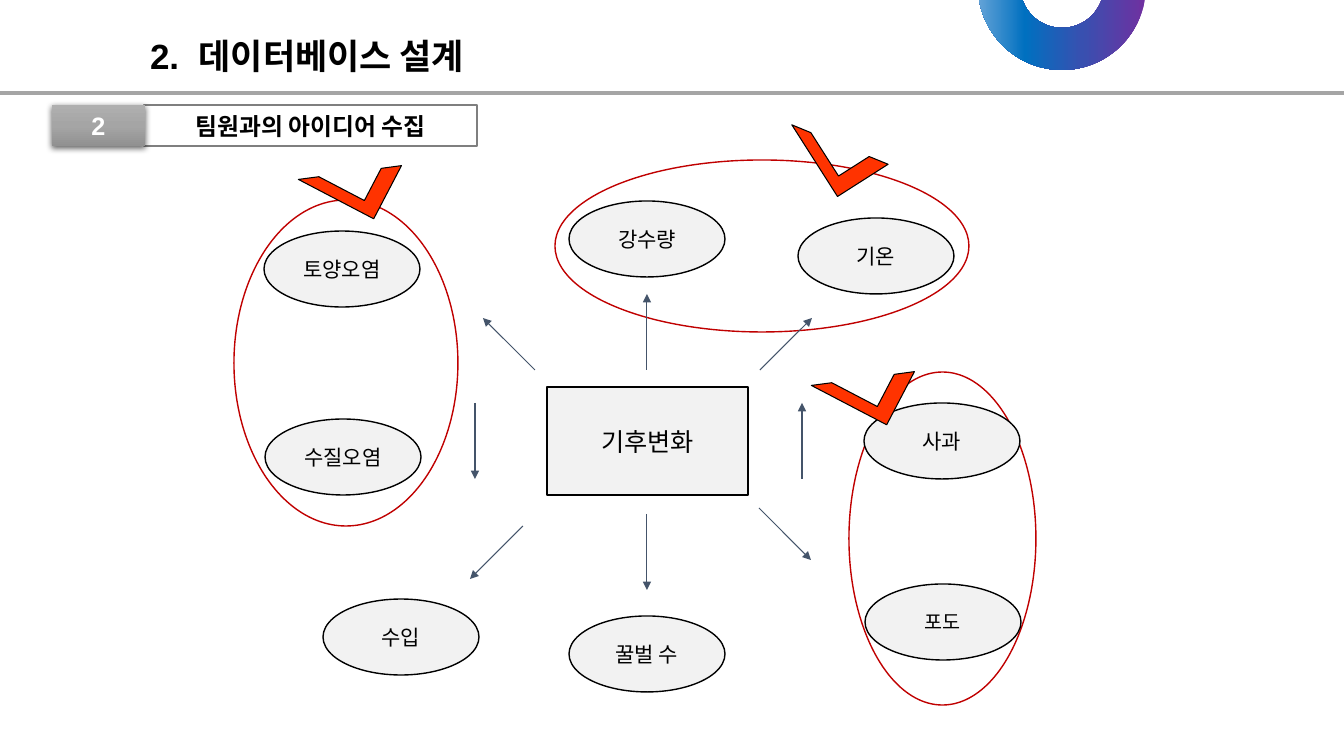
from lxml import etree
from pptx import Presentation
from pptx.dml.color import RGBColor
from pptx.enum.shapes import MSO_CONNECTOR, MSO_SHAPE as SHAPE
from pptx.enum.text import MSO_ANCHOR, PP_ALIGN
from pptx.oxml import parse_xml
from pptx.oxml.ns import nsdecls, qn
from pptx.util import Pt

PX = 914400 / 100.8
BLACK = RGBColor(0x00, 0x00, 0x00)
WHITE = RGBColor(0xFF, 0xFF, 0xFF)
PALE_GRAY = RGBColor(0xF2, 0xF2, 0xF2)
MID_GRAY = RGBColor(0xA5, 0xA5, 0xA5)
DARK_GRAY = RGBColor(0x7F, 0x7F, 0x7F)
SLATE = RGBColor(0x44, 0x54, 0x6A)
GROUP_RED = RGBColor(0xC0, 0x00, 0x00)
CHECK_RED = RGBColor(0xFF, 0x33, 0x00)
ARIAL, NOTO = "Arial", "Noto Sans CJK KR"

prs = Presentation()
prs.slide_width, prs.slide_height = round(1344 * PX), round(756 * PX)
slide = prs.slides.add_slide(prs.slide_layouts[5])


def add_figure(kind, box, fill=None, line=None, label="", **font_format):
    """Add a preset shape; without a fill or line colour that part is left empty."""
    figure = slide.shapes.add_shape(kind, *[round(n * PX) for n in box])
    figure.shadow.inherit = False
    if fill is None:
        figure.fill.background()
    else:
        figure.fill.solid()
        figure.fill.fore_color.rgb = fill
    if line is None:
        figure.line.fill.background()
    else:
        figure.line.color.rgb = line
        figure.line.width = Pt(1)
    if label:
        figure.text_frame.vertical_anchor = MSO_ANCHOR.MIDDLE
        paragraph = figure.text_frame.paragraphs[0]
        paragraph.alignment = PP_ALIGN.CENTER
        run = paragraph.add_run()
        run.text = label
        run.font.color.rgb = font_format.pop("color", BLACK)
        for name, value in font_format.items():
            setattr(run.font, name, value)
    return figure


def set_gradient(figure, stops, angle):
    figure.fill.gradient()
    gradient = figure.fill._xPr.find(qn("a:gradFill"))
    for child in list(gradient):
        gradient.remove(child)
    stop_list = etree.SubElement(gradient, qn("a:gsLst"))
    for percent, color in stops:
        stop = etree.SubElement(stop_list, qn("a:gs"), pos=str(percent * 1000))
        etree.SubElement(stop, qn("a:srgbClr"), val=color)
    etree.SubElement(gradient, qn("a:lin"), ang=str(angle * 60000), scaled="0")


# Title
title = slide.shapes.title
for side, length in {"left": 140, "top": 29, "width": 359, "height": 52}.items():
    setattr(title, side, round(length * PX))
title.text_frame.vertical_anchor = MSO_ANCHOR.TOP
heading = title.text_frame.paragraphs[0]
heading.alignment = PP_ALIGN.LEFT
for part, spacing in [("2.", 0), (" ", 700), ("데이터베이스 설계", 0)]:
    run = heading.add_run()
    run.text = part
    run.font.color.rgb = BLACK
    for name, value in {"name": ARIAL, "size": Pt(25), "bold": True}.items():
        setattr(run.font, name, value)
    run.font._element.set("spc", str(spacing))

# Ellipses around related ideas
for box in [(849, 372, 187, 333), (555, 160, 414, 172), (234, 200, 224, 326)]:
    add_figure(SHAPE.OVAL, box, line=GROUP_RED)

# Section heading
add_figure(SHAPE.RECTANGLE, (144, 105, 333, 41), WHITE, DARK_GRAY,
           "팀원과의 아이디어 수집", size=Pt(17), name=ARIAL, bold=True)
section_number = add_figure(SHAPE.RECTANGLE, (52, 105, 93, 41), MID_GRAY, None,
                            "2", size=Pt(18), name=ARIAL, bold=True, color=WHITE)
set_gradient(section_number, [(0, "AFAFAF"), (50, "A5A5A5"), (100, "919191")], 90)
section_number._element.spPr.find(qn("a:effectLst")).append(parse_xml(
    f'<a:outerShdw {nsdecls("a")} blurRad="57150" dist="19050" dir="5400000" '
    'algn="ctr" rotWithShape="0"><a:srgbClr val="000000"><a:alpha val="62000"/>'
    '</a:srgbClr></a:outerShdw>'))

# Topic and ideas
add_figure(SHAPE.RECTANGLE, (547, 387, 201, 108), PALE_GRAY, BLACK,
           "기후변화", size=Pt(18), name=NOTO)
for idea, left, top, size, font in [
    ("강수량", 569, 201, 15, NOTO),
    ("사과", 864, 403, 15, NOTO),
    ("꿀벌 수", 569, 616, 15, NOTO),
    ("수질오염", 265, 419, 15, NOTO),
    ("포도", 865, 584, 14, ARIAL),
    ("토양오염", 264, 231, 15, NOTO),
    ("기온", 798, 218, 15, NOTO),
    ("수입", 323, 599, 15, NOTO),
]:
    add_figure(SHAPE.OVAL, (left, top, 156, 76), PALE_GRAY, BLACK,
               idea, size=Pt(size), name=font)

# Header rule and arrows
for ends, color, width, is_arrow in [
    ((0, 93, 1344, 93), MID_GRAY, 3, False),
    *[(ends, SLATE, 0.75, True) for ends in [
        (647, 370, 647, 294), (802, 479, 802, 403),
        (647, 514, 647, 590), (475, 403, 475, 479),
        (759, 508, 811, 560), (535, 370, 483, 318),
        (760, 370, 812, 318), (523, 526, 470, 579),
    ]],
]:
    connector = slide.shapes.add_connector(
        MSO_CONNECTOR.STRAIGHT, *[round(n * PX) for n in ends])
    connector.line.color.rgb = color
    connector.line.width = Pt(width)
    if is_arrow:
        etree.SubElement(connector.line._get_or_add_ln(), qn("a:tailEnd"), type="triangle")
    etree.SubElement(connector._element.spPr, qn("a:effectLst"))

# Ring at the top edge
ring = add_figure(SHAPE.DONUT, (978, -98, 168, 168), MID_GRAY)
ring.adjustments[0] = 0.25
set_gradient(ring, [(0, "7030A0"), (38, "3850B0"), (72, "0070C0"), (100, "64A3D7")], 180)

# Check marks
for left, top, angle in [(810, 102, 147.5), (833, 336, 117.6), (320, 130, 117.6)]:
    check = add_figure(SHAPE.HALF_FRAME, (left, top, 60, 85), CHECK_RED, BLACK)
    check.line.width = Pt(0.75)
    check.adjustments[0], check.adjustments[1] = 0.279, 0.198
    check.rotation = angle
    check._element.spPr.find(qn("a:xfrm")).set("flipH", "1")

prs.save("out.pptx")
